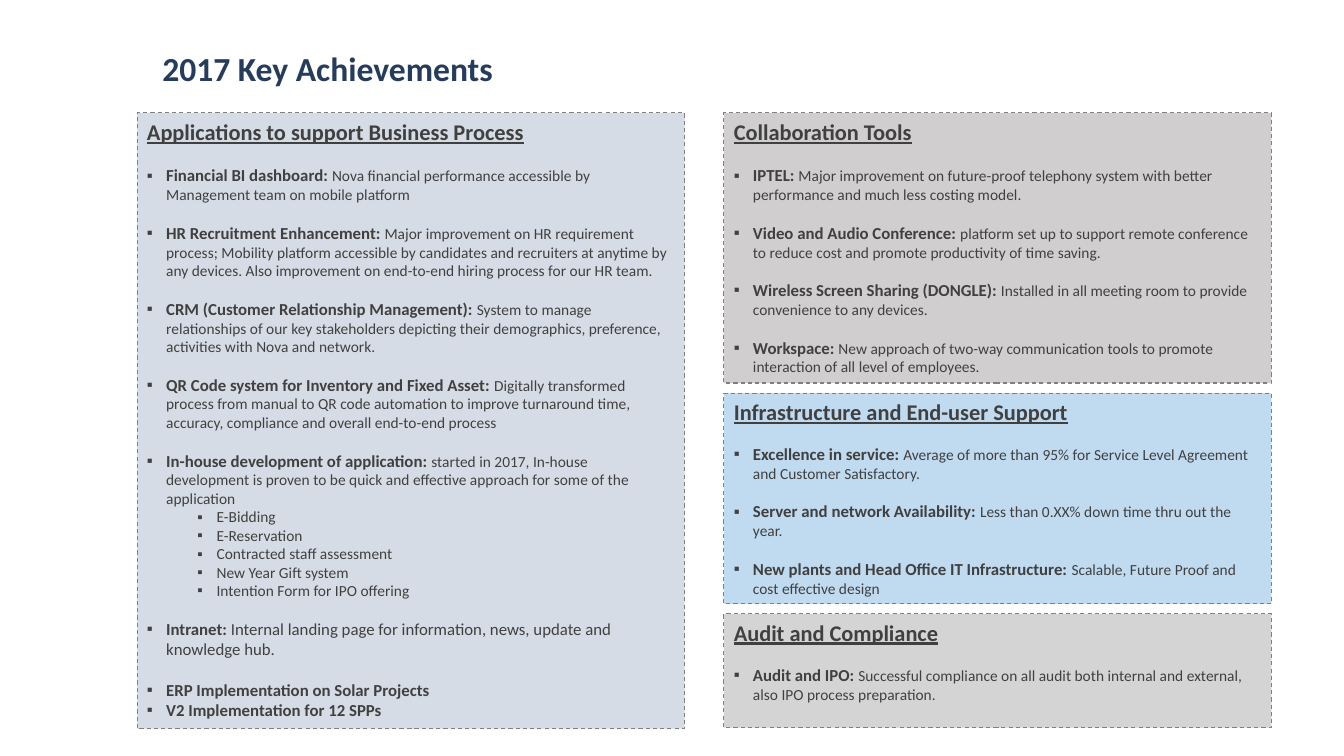
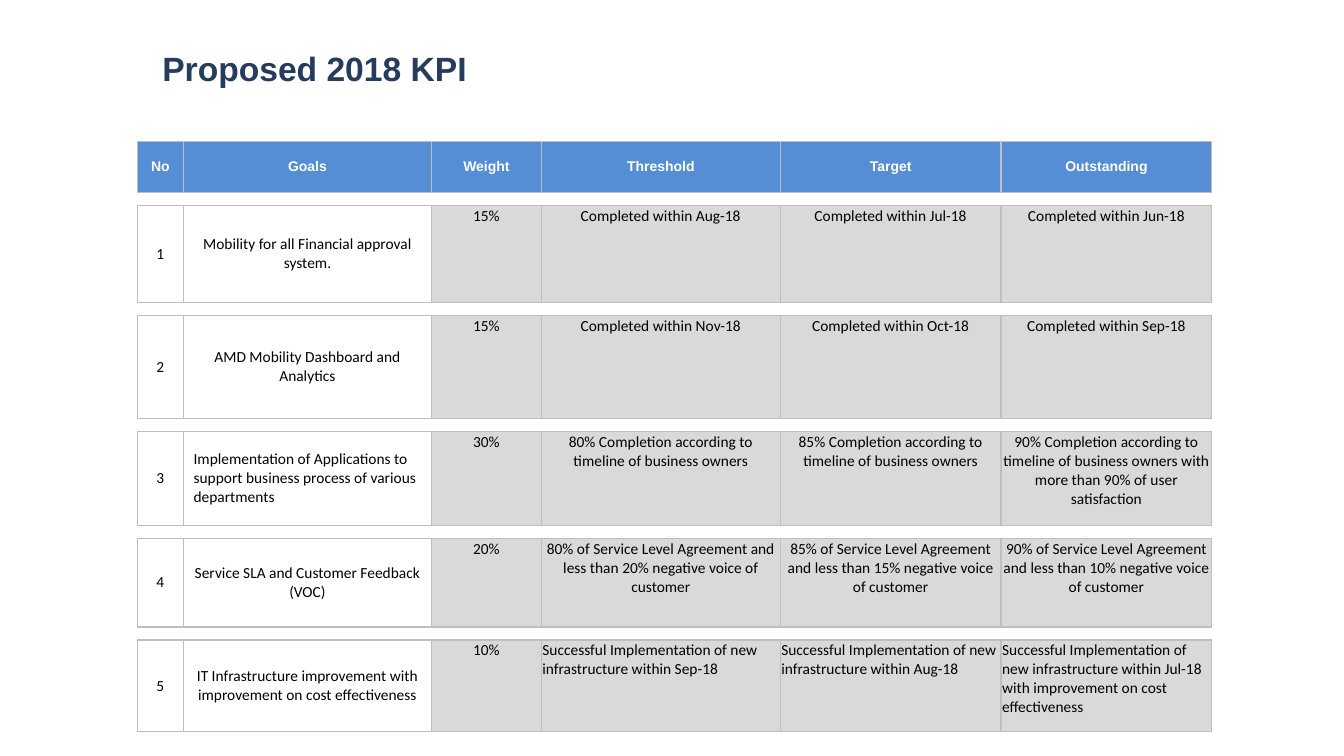
from itertools import accumulate

from lxml import etree
from pptx import Presentation
from pptx import util as u
from pptx.dml.color import RGBColor
from pptx.enum import dml, shapes, text
from pptx.oxml.ns import qn

COLORS = {
    "title": "263C5C", "body": "404040", "dash": "808080",
    "apps": "D6DCE5", "tools": "D0CECE", "infra": "C0DAEF", "audit": "D4D4D4",
    "header": "558ED5", "white": "FFFFFF", "black": "000000",
    "grid": "BFBFBF", "measure": "D9D9D9",
}
LINE = 1.22
GAP_11, GAP_12 = round(11 * LINE, 1), round(12 * LINE, 1)

ACHIEVEMENTS = ("2017 Key Achievements", "Calibri")
KPI = ("Proposed 2018 KPI", "Arial")

APPS = ("Applications to support Business Process", "apps", 6.11, [
    ("Financial BI dashboard: ", "Nova financial performance accessible by Management team on mobile platform", 11, GAP_12, 0),
    ("HR Recruitment Enhancement: ", "Major improvement on HR requirement process; Mobility platform accessible by candidates and recruiters at anytime by any devices. Also improvement on end-to-end hiring process for our HR team.", 11, GAP_11, 0),
    ("CRM (Customer Relationship Management): ", "System to manage relationships of our key stakeholders depicting their demographics, preference, activities with Nova and network.", 11, GAP_11, 0),
    ("QR Code system for Inventory and Fixed Asset: ", "Digitally transformed process from manual to QR code automation to improve turnaround time, accuracy, compliance and overall end-to-end process", 11, GAP_11, 0),
    ("In-house development of application: ", "started in 2017, In-house development is proven to be quick and effective approach for some of the application", 11, GAP_11, 0),
    ("", "E-Bidding", 11, 0, 1),
    ("", "E-Reservation", 11, 0, 1),
    ("", "Contracted staff assessment", 11, 0, 1),
    ("", "New Year Gift system", 11, 0, 1),
    ("", "Intention Form for IPO offering", 11, 0, 1),
    ("Intranet: ", "Internal landing page for information, news, update and knowledge hub.", 12, GAP_11, 0),
    ("ERP Implementation on Solar Projects", "", 12, GAP_12, 0),
    ("V2 Implementation for 12 SPPs", "", 12, 0, 0),
])
TOOLS = ("Collaboration Tools", "tools", 2.68, [
    ("IPTEL: ", "Major improvement on future-proof telephony system with better performance and much less costing model.", 11, GAP_12, 0),
    ("Video and Audio Conference: ", "platform set up to support remote conference to reduce cost and promote productivity of time saving.", 11, GAP_11, 0),
    ("Wireless Screen Sharing (DONGLE): ", "Installed in all meeting room to provide convenience to any devices.", 11, GAP_11, 0),
    ("Workspace: ", "New approach of two-way communication tools to promote interaction of all level of employees.", 11, GAP_11, 0),
])
INFRA = ("Infrastructure and End-user Support", "infra", 2.09, [
    ("Excellence in service: ", "Average of more than 95% for Service Level Agreement and Customer Satisfactory.", 11, GAP_11, 0),
    ("Server and network Availability: ", "Less than 0.XX% down time thru out the year.", 11, GAP_11, 0),
    ("New plants and Head Office IT Infrastructure: ", "Scalable, Future Proof and cost effective design", 11, GAP_11, 0),
])
AUDIT = ("Audit and Compliance", "audit", 1.13, [
    ("Audit and IPO: ", "Successful compliance on all audit both internal and external, also IPO process preparation.", 11, GAP_11, 0),
])
PANEL_COLUMNS = [[APPS], [TOOLS, INFRA, AUDIT]]
PANEL_W, PANEL_GAP_X, PANEL_GAP_Y, PANEL_TOP = 5.43, 0.39, 0.1, 1.12

LEFT = 1.36
KPI_TOP, KPI_GAP = 1.4, 0.13
KPI_COLS = [0.46, 2.46, 1.09, 2.37, 2.19, 2.09]
KPI_HEADER = ["No", "Goals", "Weight", "Threshold", "Target", "Outstanding"]
KPI_ROWS = [
    ["1", "Mobility for all Financial approval system.", "15%",
     "Completed within Aug-18", "Completed within Jul-18", "Completed within Jun-18"],
    ["2", "AMD Mobility Dashboard and Analytics", "15%",
     "Completed within Nov-18", "Completed within Oct-18", "Completed within Sep-18"],
    ["3", "Implementation of Applications to support business process of various departments", "30%",
     "80% Completion according to timeline of business owners",
     "85% Completion according to timeline of business owners",
     "90% Completion according to timeline of business owners with more than 90% of user satisfaction"],
    ["4", "Service SLA and Customer Feedback (VOC)", "20%",
     "80% of Service Level Agreement and less than 20% negative voice of customer",
     "85% of Service Level Agreement and less than 15% negative voice of customer",
     "90% of Service Level Agreement and less than 10% negative voice of customer"],
    ["5", "IT Infrastructure improvement with improvement on cost effectiveness", "10%",
     "Successful Implementation of new infrastructure within Sep-18",
     "Successful Implementation of new infrastructure within Aug-18",
     "Successful Implementation of new infrastructure within Jul-18 with improvement on cost effectiveness"],
]
KPI_HEIGHTS = [0.51, 0.96, 1.02, 0.93, 0.88, 0.91]
LEFT_ALIGNED = {(3, 1), (5, 3), (5, 4), (5, 5)}


def rgb(name):
    return RGBColor.from_string(COLORS[name])


def add_run(p, content, size, color, font="Calibri", bold=False, underline=False):
    r = p.add_run()
    r.text = content
    r.font.name, r.font.size = font, u.Pt(size)
    r.font.bold, r.font.underline = bold, underline
    r.font.color.rgb = rgb(color)


def add_slide(prs, title, font):
    s = prs.slides.add_slide(prs.slide_layouts[5])
    sp = s.shapes.title
    sp.left, sp.top, sp.width, sp.height = map(u.Inches, (1.51, 0.47, 9.63, 0.56))
    tf = sp.text_frame
    tf.auto_size = text.MSO_AUTO_SIZE.NONE
    tf.vertical_anchor = text.MSO_ANCHOR.TOP
    p = tf.paragraphs[0]
    p.alignment = text.PP_ALIGN.LEFT
    p.line_spacing = 0.9
    add_run(p, title, 24, "title", font, bold=True)
    return s


def set_bullet(p, level):
    p.level = level
    ppr = p._p.get_or_add_pPr()
    ppr.set("marL", str(u.Inches(0.19 + 0.5 * level)))
    ppr.set("indent", str(u.Inches(-0.19)))
    etree.SubElement(ppr, qn("a:buFont"), typeface="Arial")
    etree.SubElement(ppr, qn("a:buChar"), char="▪")


def add_panel(s, left, top, heading, fill, height, items):
    sp = s.shapes.add_shape(shapes.MSO_SHAPE.RECTANGLE,
                            *map(u.Inches, (left, top, PANEL_W, height)))
    sp.shadow.inherit = False
    sp.fill.solid()
    sp.fill.fore_color.rgb = rgb(fill)
    sp.line.color.rgb = rgb("dash")
    sp.line.width = u.Pt(0.75)
    sp.line.dash_style = dml.MSO_LINE.DASH
    tf = sp.text_frame
    tf.word_wrap = True
    tf.vertical_anchor = text.MSO_ANCHOR.TOP
    p = tf.paragraphs[0]
    p.alignment = text.PP_ALIGN.LEFT
    add_run(p, heading, 16, "body", bold=True, underline=True)
    for lead, detail, size, before, level in items:
        p = tf.add_paragraph()
        set_bullet(p, level)
        p.alignment = text.PP_ALIGN.LEFT
        p.space_before = u.Pt(before)
        if lead:
            add_run(p, lead, 12, "body", bold=True)
        if detail:
            add_run(p, detail, size, "body")


def set_borders(cell):
    tcpr = cell._tc.get_or_add_tcPr()
    for i, side in enumerate(("a:lnL", "a:lnR", "a:lnT", "a:lnB")):
        ln = etree.Element(qn(side), w=str(u.Pt(1)))
        fill = etree.SubElement(ln, qn("a:solidFill"))
        etree.SubElement(fill, qn("a:srgbClr"), val=COLORS["grid"])
        tcpr.insert(i, ln)


def format_cell(cell, content, row, col):
    header, measure = row == 0, row > 0 and col > 1
    if header or measure:
        cell.fill.solid()
        cell.fill.fore_color.rgb = rgb("header" if header else "measure")
    else:
        cell.fill.background()
    if measure:
        cell.margin_left = cell.margin_right = cell.margin_top = u.Inches(0.01)
        cell.margin_bottom = 0
    cell.vertical_anchor = text.MSO_ANCHOR.TOP if measure else text.MSO_ANCHOR.MIDDLE
    set_borders(cell)
    p = cell.text_frame.paragraphs[0]
    p.alignment = text.PP_ALIGN.LEFT if (row, col) in LEFT_ALIGNED else text.PP_ALIGN.CENTER
    if header:
        add_run(p, content, 10, "white", "Arial", bold=True)
    else:
        add_run(p, content, 11, "black")


def add_kpi_row(s, row, top, height, values):
    frame = s.shapes.add_table(1, len(values), *map(u.Inches, (LEFT, top, sum(KPI_COLS), height)))
    tbl = frame.table
    tbl.first_row = tbl.horz_banding = False
    for col, (width, content) in enumerate(zip(KPI_COLS, values)):
        tbl.columns[col].width = u.Inches(width)
        format_cell(tbl.cell(0, col), content, row, col)


def stack(top, heights, gap):
    return list(accumulate((h + gap for h in heights), initial=top))[:-1]


def main():
    prs = Presentation()
    prs.slide_width, prs.slide_height = u.Inches(13.33), u.Inches(7.5)

    s = add_slide(prs, *ACHIEVEMENTS)
    for i, panels in enumerate(PANEL_COLUMNS):
        left = LEFT + i * (PANEL_W + PANEL_GAP_X)
        tops = stack(PANEL_TOP, [panel[2] for panel in panels], PANEL_GAP_Y)
        for top, panel in zip(tops, panels):
            add_panel(s, left, top, *panel)

    s = add_slide(prs, *KPI)
    tops = stack(KPI_TOP, KPI_HEIGHTS, KPI_GAP)
    for row, values in enumerate([KPI_HEADER] + KPI_ROWS):
        add_kpi_row(s, row, tops[row], KPI_HEIGHTS[row], values)

    prs.save("out.pptx")


if __name__ == "__main__":
    main()
